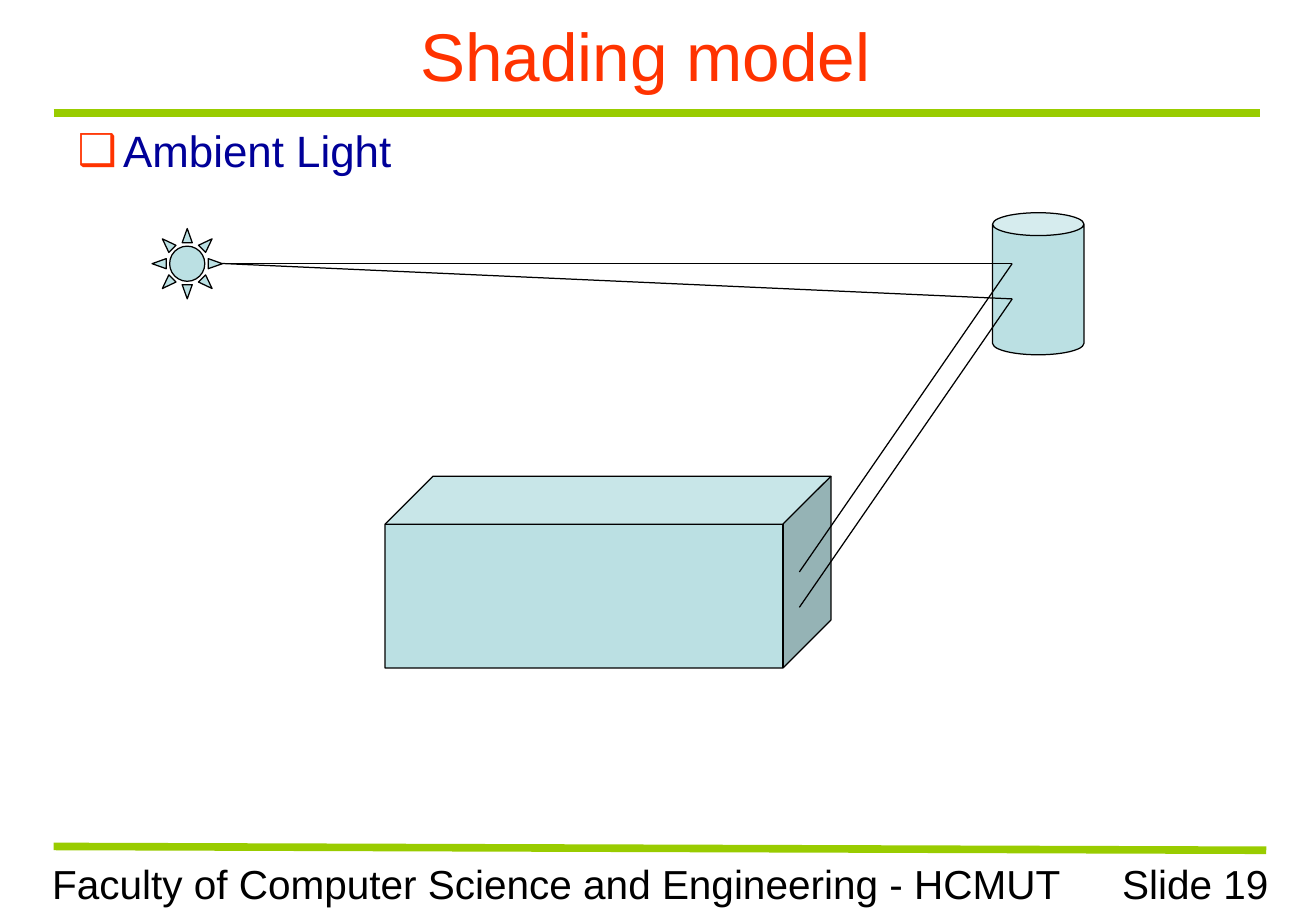
from lxml import etree
from pptx import Presentation
from pptx.dml.color import RGBColor
from pptx.enum import shapes, text
from pptx.oxml.ns import qn
from pptx.util import Cm, Pt

# Content: boxes are left, top, width, height in cm
TITLE = ("Shading model", (0.84, 0.25, 25.3, 1.78), 40, "FF3300", text.PP_ALIGN.CENTER)
TOPIC = ("Ambient Light", (1.37, 2.46, 24.77, 1.57), 26, "000099", text.PP_ALIGN.LEFT)
FOOTERS = [
    ("Faculty of Computer Science and Engineering - HCMUT",
     (0.84, 17.83, 21.64, 1.27), 24, "000000", text.PP_ALIGN.LEFT),
    ("Slide 19", (21.72, 17.83, 5.05, 1.27), 24, "000000", text.PP_ALIGN.RIGHT),
]
RULES = [((1.12, 2.36), (26.34, 2.36)), ((1.12, 17.7), (26.47, 17.78))]
OBJECTS = [
    (shapes.MSO_SHAPE.CUBE, (8.05, 9.96, 9.32, 4.01)),
    (shapes.MSO_SHAPE.SUN, (3.18, 4.78, 1.47, 1.47)),
    (shapes.MSO_SHAPE.CAN, (20.75, 4.45, 1.91, 2.97)),
]
LIGHT = (4.65, 5.51)
CAN_X, CUBE_X = 21.16, 16.71
RAY_HEIGHTS = [(6.25, 12.7), (5.51, 11.96)]  # on the can, on the cube


def color(value):
    return RGBColor.from_string(value)


def cm(values):
    return [Cm(value) for value in values]


def write(shape, content):
    words, box, size, ink, alignment = content
    shape.left, shape.top, shape.width, shape.height = cm(box)
    frame = shape.text_frame
    frame.text = words
    frame.word_wrap = True
    frame.auto_size = text.MSO_AUTO_SIZE.NONE
    paragraph = frame.paragraphs[0]
    paragraph.alignment = alignment
    paragraph.line_spacing = 1.0
    paragraph.space_before = Pt(0)
    paragraph.font.name = "Arial"
    paragraph.font.size = Pt(size)
    paragraph.font.color.rgb = color(ink)
    return paragraph


def add_line(start, end, ink, width):
    line = slide.shapes.add_connector(
        shapes.MSO_CONNECTOR.STRAIGHT, *cm(start), *cm(end))
    line.line.color.rgb = color(ink)
    line.line.width = Pt(width)
    etree.SubElement(line._element.spPr, qn("a:effectLst"))


presentation = Presentation()
presentation.slide_width, presentation.slide_height = cm((27.51, 19.05))
slide = presentation.slides.add_slide(presentation.slide_layouts[1])

# Title and bulleted topic
write(slide.shapes.title, TITLE)
slide.shapes.title.text_frame.vertical_anchor = text.MSO_ANCHOR.MIDDLE
topic = write(slide.placeholders[1], TOPIC)
properties = topic._p.get_or_add_pPr()
properties.set("marL", str(Cm(0.95)))
properties.set("indent", str(-Cm(0.95)))
bullet_color = etree.SubElement(properties, qn("a:buClr"))
etree.SubElement(bullet_color, qn("a:srgbClr"), val="FF3300")
etree.SubElement(properties, qn("a:buChar"), char="❑")
# The bullet belongs before the default run properties
for defaults in properties.findall(qn("a:defRPr")):
    properties.append(defaults)

# Footer and green rules
for footer in FOOTERS:
    write(slide.shapes.add_textbox(*cm(footer[1])), footer)
for start, end in RULES:
    add_line(start, end, "99CC00", 4.5)

# Light source and lit objects
for preset, box in OBJECTS:
    shape = slide.shapes.add_shape(preset, *cm(box))
    shape.shadow.inherit = False
    shape.fill.solid()
    shape.fill.fore_color.rgb = color("BBE0E3")
    shape.line.color.rgb = color("000000")
    shape.line.width = Pt(0.75)

# Rays from the light to the can, reflected onto the cube
for can_y, cube_y in RAY_HEIGHTS:
    hit = (CAN_X, can_y)
    add_line(LIGHT, hit, "000000", 0.75)
    add_line(hit, (CUBE_X, cube_y), "000000", 0.75)

presentation.save("out.pptx")
